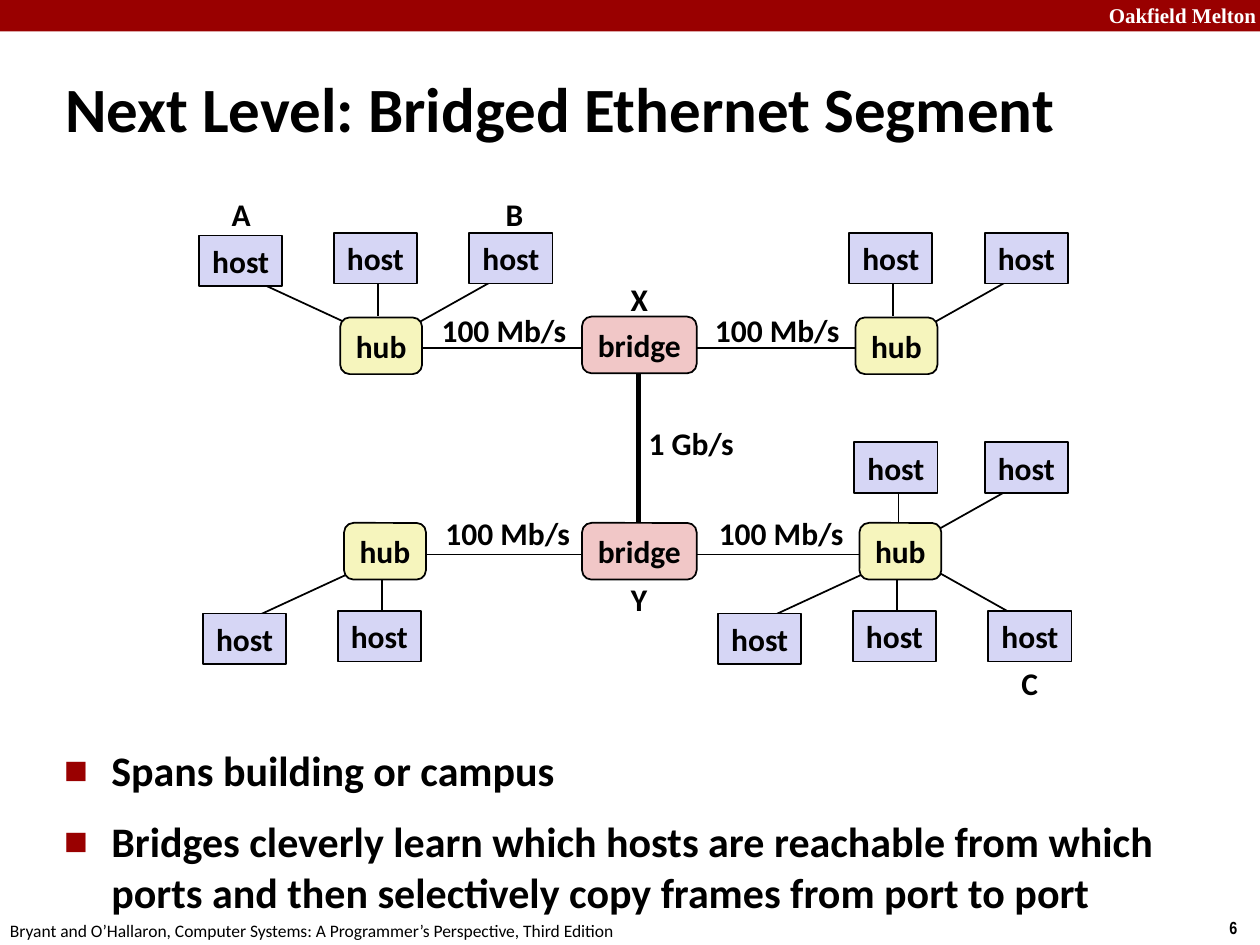
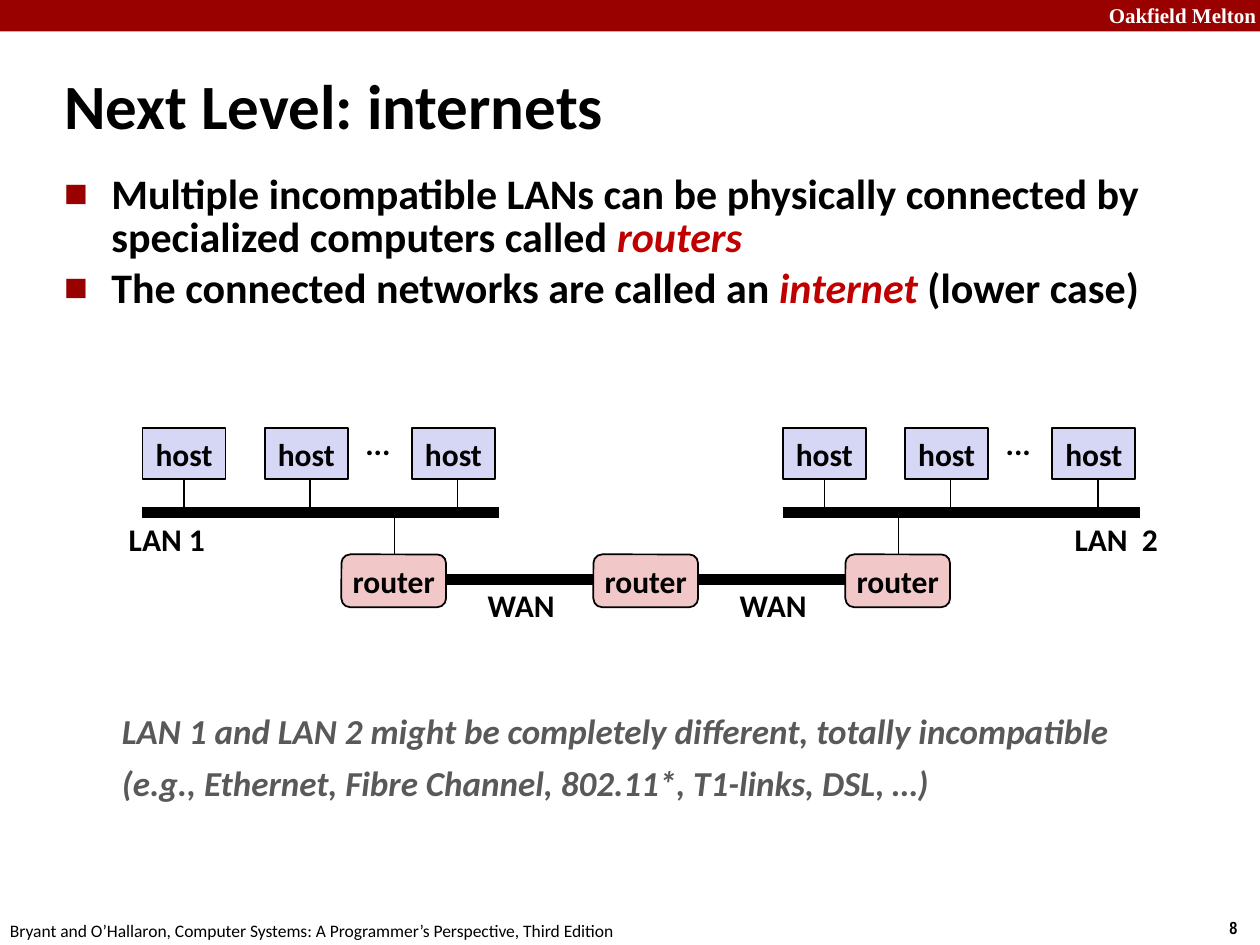
from dataclasses import dataclass

from lxml.etree import SubElement
from pptx import Presentation
from pptx.dml.color import RGBColor
from pptx.enum.shapes import MSO_CONNECTOR, MSO_SHAPE
from pptx.enum.text import MSO_ANCHOR, MSO_AUTO_SIZE, PP_ALIGN
from pptx.oxml.ns import qn
from pptx.util import Pt


@dataclass(frozen=True)
class Theme:
    band: str = "990000"
    accent: str = "C00000"
    ink: str = "000000"
    paper: str = "FFFFFF"
    note: str = "595959"
    host: str = "D6D6F5"
    hub: str = "F6F5BD"
    junction: str = "F1C7C7"
    font: str = "Calibri"
    band_font: str = "Times New Roman"
    number_font: str = "Arial Narrow"
    title_size: int = 36
    body_size: int = 24
    note_size: int = 20
    label_size: int = 18
    band_size: int = 12
    footer_size: int = 10
    thin: int = 1
    trunk: int = 3
    bus: int = 6


theme = Theme()

SLIDE_SIZE = (720, 540)
INSTITUTION = "Oakfield Melton"
FOOTER = "Bryant and O’Hallaron, Computer Systems: A Programmer’s Perspective, Third Edition"

BRIDGED = {
    "title": "Next Level: Bridged Ethernet Segment",
    "title_box": (30.2, 38.9, 647, 45.4),
    "number": "6",
    "body_box": (29.5, 426.2, 654.5, 65.5),
    "bullets": [
        ([("Spans building or campus", False)], {"line_spacing": 0.85, "space_before": Pt(4.8)}),
        ([("Bridges cleverly learn which hosts are reachable from which ports "
           "and then selectively copy frames from port to port", False)], {"space_before": Pt(12)}),
    ],
}
TIGHT = {"line_spacing": 0.85, "space_before": Pt(4.8)}
INTERNETS = {
    "title": "Next Level: internets",
    "title_box": (29.5, 36.7, 507.6, 45.4),
    "number": "8",
    "body_box": (29.5, 96.5, 654.5, 95.8),
    "bullets": [
        ([("Multiple incompatible LANs can be physically connected by "
           "specialized computers called ", False), ("routers", True)], TIGHT),
        ([("The connected networks are called an ", False), ("internet ", True),
          ("(lower case)", False)], TIGHT),
    ],
}
INCOMPATIBLE_NOTE = [
    ("LAN 1 and LAN 2 might be completely different, totally incompatible", 0),
    ("(e.g., Ethernet, Fibre Channel, 802.11*, T1-links, DSL, …)", 6),
]

NODES = {
    "host": (MSO_SHAPE.RECTANGLE, theme.host, 47.5, 28.8),
    "hub": (MSO_SHAPE.ROUNDED_RECTANGLE, theme.hub, 46.8, 32.4),
    "bridge": (MSO_SHAPE.ROUNDED_RECTANGLE, theme.junction, 65.5, 32.4),
    "router": (MSO_SHAPE.ROUNDED_RECTANGLE, theme.junction, 59.8, 30.2),
}
SPOKES = {
    "up left": ((-80.6, -46.8), (-56.2, -24.5, 9.4, 5.8)),
    "up": ((-3.6, -48.2), (21.6, -24.5, 21.6, -0.7)),
    "up right": ((73.8, -48.2), (93.6, -24.5, 39.6, 5.8)),
    "down left": ((-80.6, 51.8), (9.4, 25.9, -56.2, 56.2)),
    "down": ((-3.6, 50.4), (21.6, 25.9, 21.6, 50.4)),
    "down right": ((73.8, 50.4), (41, 25.9, 95, 56.2)),
}
CLUSTERS = [
    (194.4, 181.4, ["up left", "up", "up right"]),
    (488.9, 181.4, ["up", "up right"]),
    (196.6, 298.8, ["down left", "down"]),
    (491, 298.8, ["down left", "down", "down right"]),
    (491.8, 301, ["up"]),
    (488.9, 301, ["up right"]),
]
SEGMENT_ROWS = [(0, 181.4, 180.9, 198.7, 174.2), (2.2, 298.8, 298.8, 316.8, 290.2)]
HUB_LEFTS = (194.4, 488.9)
LINK_LEFTS = (237.6, 393.8)
LINK_LENGTH = 102.2
BRIDGE_LEFT = 332.6
SEGMENT_LABELS = [
    ("1 Gb/s", 362.9, 239, 64.1),
    ("A", 125.3, 108, 25), ("B", 281.5, 108, 25), ("C", 576, 375.8, 25),
    ("X", 352.8, 156.2, 25), ("Y", 353.2, 327.6, 24),
]

LAN_LEFTS = (81.4, 447.3)
LAN_HOSTS = (0, 69.9, 154)
LAN_DROPS = (23.8, 95.8, 180)
LAN_LENGTH = 203.9
LAN_TOP, DROP_TOP, BUS_TOP = 244.8, 269.3, 293
UPLINKS = (225.4, 513.4)
ROUTER_LEFT, ROUTER_TOP, ROUTER_STEP = 195.1, 316.8, 144
WAN_TOP = 331.2
LAN_LABELS = [("LAN 1", 66.2, 293.8, 58.3), ("LAN  2", 606.2, 293.8, 63.4)]


def points(values):
    return [Pt(value) for value in values]


def apply(target, formats):
    for name, value in formats.items():
        setattr(target, name, value)


def add_run(paragraph, text, size, color=theme.ink, font=theme.font, bold=True, italic=False):
    run = paragraph.add_run()
    run.text = text
    apply(run.font, {"size": Pt(size), "name": font, "bold": bold, "italic": italic})
    run.font.color.rgb = RGBColor.from_string(color)


def set_frame(shape, wrap, anchor):
    frame = shape.text_frame
    apply(frame, {
        "word_wrap": wrap, "auto_size": MSO_AUTO_SIZE.NONE, "vertical_anchor": anchor,
        "margin_left": Pt(7.2), "margin_right": Pt(7.2),
        "margin_top": Pt(3.6), "margin_bottom": Pt(3.6),
    })
    return frame


def add_text_box(slide, box, wrap=True, anchor=MSO_ANCHOR.TOP):
    return set_frame(slide.shapes.add_textbox(*points(box)), wrap, anchor)


def add_filled_shape(slide, preset, box, fill):
    shape = slide.shapes.add_shape(preset, *points(box))
    shape.shadow.inherit = False
    shape.fill.solid()
    shape.fill.fore_color.rgb = RGBColor.from_string(fill)
    return shape


def write_centred(frame, text):
    paragraph = frame.paragraphs[0]
    paragraph.alignment = PP_ALIGN.CENTER
    add_run(paragraph, text, theme.label_size)


def add_node(slide, kind, left, top):
    preset, fill, width, height = NODES[kind]
    shape = add_filled_shape(slide, preset, (left, top, width, height), fill)
    shape.line.color.rgb = RGBColor.from_string(theme.ink)
    shape.line.width = Pt(theme.thin)
    write_centred(set_frame(shape, False, MSO_ANCHOR.MIDDLE), kind)


def add_label(slide, text, left, top, width):
    frame = add_text_box(slide, (left, top, width, 28.8), False, MSO_ANCHOR.MIDDLE)
    write_centred(frame, text)


def add_line(slide, ends, width=theme.thin):
    connector = slide.shapes.add_connector(MSO_CONNECTOR.STRAIGHT, *points(ends))
    connector.line.color.rgb = RGBColor.from_string(theme.ink)
    connector.line.width = Pt(width)
    SubElement(connector._element.spPr, qn("a:effectLst"))


def add_bullet(paragraph):
    properties = paragraph._p.get_or_add_pPr()
    properties.set("marL", str(Pt(27)))
    properties.set("indent", str(-Pt(27)))
    color = SubElement(properties, qn("a:buClr"))
    SubElement(color, qn("a:srgbClr"), val=theme.band)
    SubElement(properties, qn("a:buSzPct"), val="60000")
    SubElement(properties, qn("a:buFont"), typeface=theme.font)
    SubElement(properties, qn("a:buChar"), char="■")


def add_base_slide(presentation, content):
    slide = presentation.slides.add_slide(presentation.slide_layouts[6])
    band = add_filled_shape(slide, MSO_SHAPE.RECTANGLE, (0, 0, SLIDE_SIZE[0], 18), theme.band)
    band.line.fill.background()
    institution = add_text_box(slide, (622, -2.2, 103, 21.6))
    institution.paragraphs[0].alignment = PP_ALIGN.RIGHT
    add_run(institution.paragraphs[0], INSTITUTION, theme.band_size, theme.paper, theme.band_font)
    number = add_text_box(slide, (695.5, 520.6, 24.5, 19.4), False)
    add_run(number.paragraphs[0], content["number"], theme.footer_size, font=theme.number_font)
    footer = add_text_box(slide, (-1.4, 522, 365.8, 19.4), False)
    add_run(footer.paragraphs[0], FOOTER, theme.footer_size, bold=False)
    title = add_text_box(slide, content["title_box"], anchor=MSO_ANCHOR.MIDDLE)
    add_run(title.paragraphs[0], content["title"], theme.title_size)
    body = add_text_box(slide, content["body_box"])
    for index, (runs, formats) in enumerate(content["bullets"]):
        paragraph = body.add_paragraph() if index else body.paragraphs[0]
        apply(paragraph, formats)
        add_bullet(paragraph)
        for text, stressed in runs:
            color = theme.accent if stressed else theme.ink
            add_run(paragraph, text, theme.body_size, color, italic=stressed)
    return slide


def draw_bridged_segment(slide):
    add_line(slide, (365, 213.1, 365, 299.5), theme.trunk)
    hosts = []
    for left, top, directions in CLUSTERS:
        for direction in directions:
            (across, down), (x1, y1, x2, y2) = SPOKES[direction]
            add_line(slide, (left + x1, top + y1, left + x2, top + y2))
            hosts.append((left + across, top + down))
    for shift, hub_top, bridge_top, link_top, label_top in SEGMENT_ROWS:
        for link_left in LINK_LEFTS:
            left = link_left + shift
            add_line(slide, (left, link_top, left + LINK_LENGTH, link_top))
            add_label(slide, "100 Mb/s", left + 7.2, label_top, 86.4)
        for hub_left in HUB_LEFTS:
            add_node(slide, "hub", hub_left + shift, hub_top)
        add_node(slide, "bridge", BRIDGE_LEFT, bridge_top)
    for left, top in hosts:
        add_node(slide, "host", left, top)
    for label in SEGMENT_LABELS:
        add_label(slide, *label)


def draw_internet(slide):
    for left, uplink in zip(LAN_LEFTS, UPLINKS):
        add_line(slide, (left, BUS_TOP, left + LAN_LENGTH, BUS_TOP), theme.bus)
        for drop, host in zip(LAN_DROPS, LAN_HOSTS):
            add_line(slide, (left + drop, DROP_TOP, left + drop, BUS_TOP))
            add_node(slide, "host", left + host, LAN_TOP)
        add_label(slide, "...", left + 120.2, 239, 28.8)
        add_line(slide, (uplink, BUS_TOP, uplink, ROUTER_TOP))
    for index in range(2):
        shift = index * ROUTER_STEP
        add_line(slide, (249.1 + shift, WAN_TOP, 345.6 + shift, WAN_TOP), theme.bus)
        add_label(slide, "WAN", 271.2 + shift, WAN_TOP, 53.3)
    for index in range(3):
        add_node(slide, "router", ROUTER_LEFT + index * ROUTER_STEP, ROUTER_TOP)
    for label in LAN_LABELS:
        add_label(slide, *label)
    note = add_text_box(slide, (62.6, 401.8, 639.4, 61.9))
    for index, (text, space) in enumerate(INCOMPATIBLE_NOTE):
        paragraph = note.add_paragraph() if index else note.paragraphs[0]
        paragraph.space_before = Pt(space)
        add_run(paragraph, text, theme.note_size, theme.note, italic=True)


presentation = Presentation()
apply(presentation, dict(zip(("slide_width", "slide_height"), points(SLIDE_SIZE))))
draw_bridged_segment(add_base_slide(presentation, BRIDGED))
draw_internet(add_base_slide(presentation, INTERNETS))
presentation.save("out.pptx")
